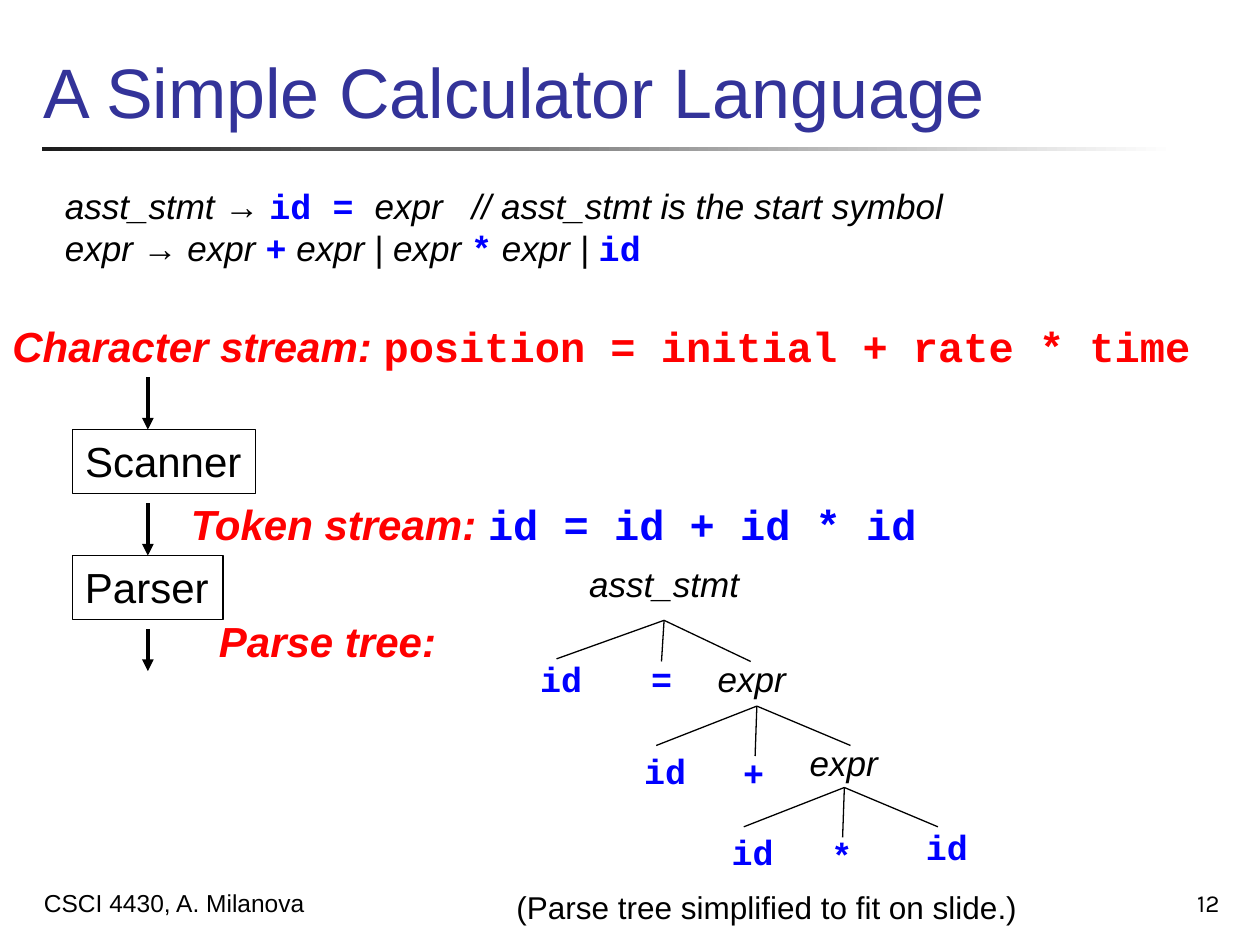
from dataclasses import dataclass

from lxml import etree
from pptx import Presentation
from pptx import util as u
from pptx.dml import color
from pptx.enum import shapes, text
from pptx.oxml import ns


@dataclass(frozen=True)
class Theme:
    ink: str = "000000"
    dark: str = "1C1C1C"
    white: str = "FFFFFF"
    title: str = "333399"
    red: str = "FF0000"
    blue: str = "0000FF"
    sans: str = "Arial"
    mono: str = "Courier New"
    page: str = "Karla"
    head: int = 40
    big: int = 24
    mid: int = 20
    note: int = 18
    foot: int = 14
    thin: float = 0.75
    thick: float = 2.25

    def style(self, name):
        return {
            "title": (self.sans, self.title, False, False),
            "plain": (self.sans, self.ink, False, False),
            "page": (self.page, self.ink, False, False),
            "rule": (self.sans, self.ink, False, True),
            "label": (self.sans, self.red, True, True),
            "code": (self.mono, self.red, True, False),
            "token": (self.mono, self.blue, True, False),
        }[name]


class Deck:
    """Draw styled elements on the current slide, in points."""

    def __init__(self, theme):
        self.theme = theme
        self.show = Presentation()
        self.show.slide_width, self.show.slide_height = u.Pt(720), u.Pt(540)
        self.slide = self.show.slides.add_slide(self.show.slide_layouts[6])

    def tint(self, code):
        return color.RGBColor.from_string(code)

    def fill(self, frame, size, lines, wrap=False, low=False, right=False):
        frame.word_wrap = wrap
        frame.vertical_anchor = text.MSO_ANCHOR.BOTTOM if low else text.MSO_ANCHOR.TOP
        for i, line in enumerate(lines):
            para = frame.add_paragraph() if i else frame.paragraphs[0]
            para.alignment = text.PP_ALIGN.RIGHT if right else text.PP_ALIGN.LEFT
            for words, name in line:
                run = para.add_run()
                run.text = words
                font = run.font
                font.size = u.Pt(size)
                font.name, code, font.bold, font.italic = self.theme.style(name)
                font.color.rgb = self.tint(code)

    def text(self, area, size, *lines, **opts):
        box = self.slide.shapes.add_textbox(*map(u.Pt, area))
        self.fill(box.text_frame, size, lines, **opts)

    def rect(self, area):
        box = self.slide.shapes.add_shape(shapes.MSO_SHAPE.RECTANGLE, *map(u.Pt, area))
        box.shadow.inherit = False
        return box

    def stage(self, area, words):
        box = self.rect(area)
        box.fill.background()
        box.line.color.rgb = self.tint(self.theme.ink)
        box.line.width = u.Pt(self.theme.thin)
        self.fill(box.text_frame, self.theme.big, [[(words, "plain")]])
        return box

    def bar(self, area):
        box = self.rect(area)
        box.line.fill.background()
        box.fill.gradient()
        box.fill.gradient_angle = 0
        for stop, code in zip(box.fill.gradient_stops, (self.theme.dark, self.theme.white)):
            stop.color.rgb = self.tint(code)

    def line(self, start, end, width):
        link = self.slide.shapes.add_connector(
            shapes.MSO_CONNECTOR.STRAIGHT, *map(u.Pt, (*start, *end)))
        link.line.color.rgb = self.tint(self.theme.ink)
        link.line.width = u.Pt(width)
        etree.SubElement(link.element.spPr, ns.qn("a:effectLst"))
        return link

    def arrow(self, start, end, goal=None):
        link = self.line(start, end, self.theme.thick)
        etree.SubElement(link.line._get_or_add_ln(), ns.qn("a:tailEnd"), type="triangle")
        if goal is not None:
            link.end_connect(goal, 0)

    def fan(self, top, ends):
        for end in ends:
            self.line(top, end, self.theme.thin)

    def save(self):
        self.show.save("out.pptx")


def main():
    look = Theme()
    deck = Deck(look)
    deck.bar((24, 84.2, 648, 2.2))
    deck.text((18, 492, 372, 36), look.foot, [("CSCI 4430, A. Milanova", "plain")],
              wrap=True, low=True)
    deck.text((18, 0, 685.5, 79), look.head, [("A Simple Calculator Language", "title")],
              wrap=True, low=True)
    deck.text((554.5, 492, 149.5, 36), look.foot, [("12", "page")],
              wrap=True, low=True, right=True)
    deck.text((30, 102, 540, 55.5), look.mid,
              [("asst_stmt → ", "rule"), ("id = ", "token"),
               ("expr   // asst_stmt is the start symbol", "rule")],
              [("expr → expr ", "rule"), ("+", "token"), (" expr | expr ", "rule"),
               ("*", "token"), (" expr | ", "rule"), ("id", "token")], wrap=True)

    deck.stage((41.5, 245.5, 104.5, 36.5), "Scanner")
    parser = deck.stage((41.5, 317.5, 86, 36.5), "Parser")
    flow = 84.5
    deck.arrow((flow, 215.5), (flow, 245.5))
    deck.arrow((flow, 287.5), (flow, 317.5), parser)
    deck.arrow((flow, 359.5), (flow, 383.5))
    deck.text((0, 179.5, 693.5, 36), look.big,
              [("Character stream: ", "label"), ("position = initial + rate * time", "code")])
    deck.text((102, 281.5, 432.5, 36), look.big,
              [("Token stream: ", "label"), ("id = id + id * id", "token")])
    deck.text((118, 348, 146, 36.5), look.big, [("Parse tree:", "label")])

    deck.fan((379.5, 354.5), ((318, 376.5), (378, 378), (429, 378)))
    for x, y in ((432.5, 403.5), (482.5, 450)):
        deck.fan((x, y), ((x - 57.5, y + 22.5), (x - 1, y + 28.5), (x + 53.5, y + 22.5)))

    wide = {" id": 51, " expr": 64, " asst_stmt": 111.5, "+": 26.5, " *": 39}
    nodes = (
        (" asst_stmt", "rule", 324, 318),
        (" id", "token", 289.5, 372), (" expr", "rule", 397.5, 372),
        (" id", "token", 349, 425), ("+", "token", 417.5, 426), (" expr", "rule", 450, 420),
        (" id", "token", 399, 471), (" *", "token", 456, 472.5), (" id", "token", 510, 468),
    )
    for words, name, x, y in nodes:
        deck.text((x, y, wide[words], 31.5), look.mid, [(words, name)])
    deck.text((359.5, 372, 32.5, 31.5), look.mid, [(" ", "plain"), ("=", "token")])
    deck.text((288, 504, 306, 29), look.note,
              [("(Parse tree simplified to fit on slide.)", "plain")])
    deck.save()


if __name__ == "__main__":
    main()
